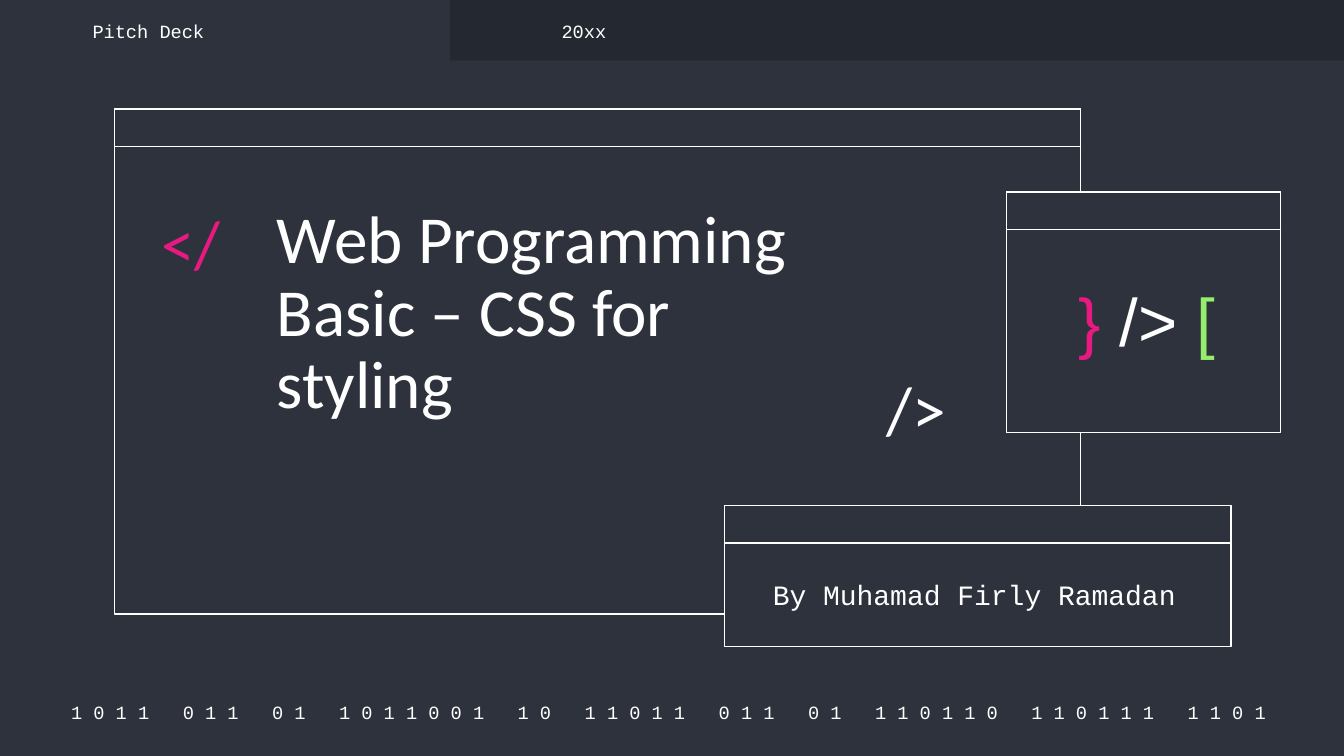
from pptx import Presentation
from pptx.dml.color import RGBColor
from pptx.enum import shapes, text
from pptx.util import Inches, Pt

HUES = {"back": "2D323C", "bar": "242830", "white": "FFFFFF",
        "pink": "E81981", "green": "94EE6B"}
LEFT, MID = text.PP_ALIGN.LEFT, text.PP_ALIGN.CENTER
TOP, HALF = text.MSO_ANCHOR.TOP, text.MSO_ANCHOR.MIDDLE
CODE = {"name": "Courier New", "size": Pt(10)}
HEAD = {"name": "Calibri", "size": Pt(36)}
SIGN = {"name": "Arial", "size": Pt(36)}


def hue(key):
    return RGBColor.from_string(HUES[key])


def write(shape, spot, runs, font, align=LEFT, anchor=HALF, lead=1.0):
    """Place a text shape and fill its one paragraph with (words, colour) runs."""
    shape.left, shape.top, shape.width, shape.height = map(Inches, spot)
    frame = shape.text_frame
    form = {"word_wrap": True, "auto_size": text.MSO_AUTO_SIZE.NONE,
            "vertical_anchor": anchor}
    for side in ("left", "top", "right", "bottom"):
        form["margin_" + side] = Inches(0.1)
    for key, val in form.items():
        setattr(frame, key, val)
    para = frame.paragraphs[0]
    for key, val in {"alignment": align, "line_spacing": lead,
                     "space_before": Pt(0)}.items():
        setattr(para, key, val)
    for words, tint in runs:
        run = para.add_run()
        run.text = words
        for key, val in font.items():
            setattr(run.font, key, val)
        run.font.color.rgb = hue(tint)
    return para


deck = Presentation()
deck.slide_width = Inches(10)
deck.slide_height = deck.slide_width * 9 // 16
slide = deck.slides.add_slide(deck.slide_layouts[0])
slide.background.fill.solid()
slide.background.fill.fore_color.rgb = hue("back")
items = slide.shapes
title, author = items.title, slide.placeholders[1]

# Binary footer: a widened space parts the groups of digits
bits = "1011 011 01 1011001 10 11011 011 01 110110 110111 1101".split()
runs = [(" ".join(bits[0]), "white")]
for group in bits[1:]:
    runs += [(" ", "white"), (" ".join(group), "white")]
runs.append((" ", "white"))
box = items.add_textbox(0, 0, 0, 0)
para = write(box, (0.38, 5.2, 9.27, 0.2), runs, CODE, MID)
for gap in para.runs[1:-1:2]:
    gap.font._element.set("spc", "1200")

# Tab bar
bar = items.add_shape(shapes.MSO_SHAPE.RECTANGLE,
                      *map(Inches, (3.35, 0, 6.65, 0.45)))
bar.shadow.inherit = False
bar.fill.solid()
bar.fill.fore_color.rgb = hue("bar")
bar.line.fill.background()

# Windows, each a body with a title strip
for x, y, wide, high in [(0.85, 0.81, 7.19, 3.76), (5.39, 3.76, 3.77, 1.05),
                         (7.49, 1.43, 2.04, 1.79)]:
    window = items.add_group_shape()
    for tall in (high, 0.28):
        pane = window.shapes.add_shape(shapes.MSO_SHAPE.RECTANGLE,
                                       *map(Inches, (x, y, wide, tall)))
        pane.shadow.inherit = False
        pane.fill.solid()
        pane.fill.fore_color.rgb = hue("back")
        pane.line.color.rgb = hue("white")
        pane.line.width = Pt(0.75)

# Code marks
for spot, mark, tint in [((1.1, 1.51, 0.77, 0.66), "</", "pink"),
                         ((6.5, 2.74, 0.77, 0.66), "/>", "white")]:
    write(items.add_textbox(0, 0, 0, 0), spot, [(mark, tint)], HEAD, lead=0.9)
write(items.add_textbox(0, 0, 0, 0), (7.87, 2.05, 1.33, 0.82),
      [("}", "pink"), (" /> ", "white"), ("[", "green")], SIGN, MID, TOP, 0.9)

# Title and author, brought in front of the windows
write(title, (1.96, 1.43, 4.54, 1.83),
      [("Web Programming Basic – CSS for styling", "white")], HEAD,
      anchor=TOP, lead=0.9)
write(author, (5.65, 4.13, 3.33, 0.58),
      [("By Muhamad Firly Ramadan", "white")], {**CODE, "size": Pt(15)})
for holder in (title, author):
    items._spTree.append(holder._element)

# Tab labels
for x, label in [(0.59, "Pitch Deck"), (4.08, "20xx")]:
    write(items.add_textbox(0, 0, 0, 0), (x, 0.13, 2.19, 0.2),
          [(label, "white")], CODE)

deck.save("out.pptx")
